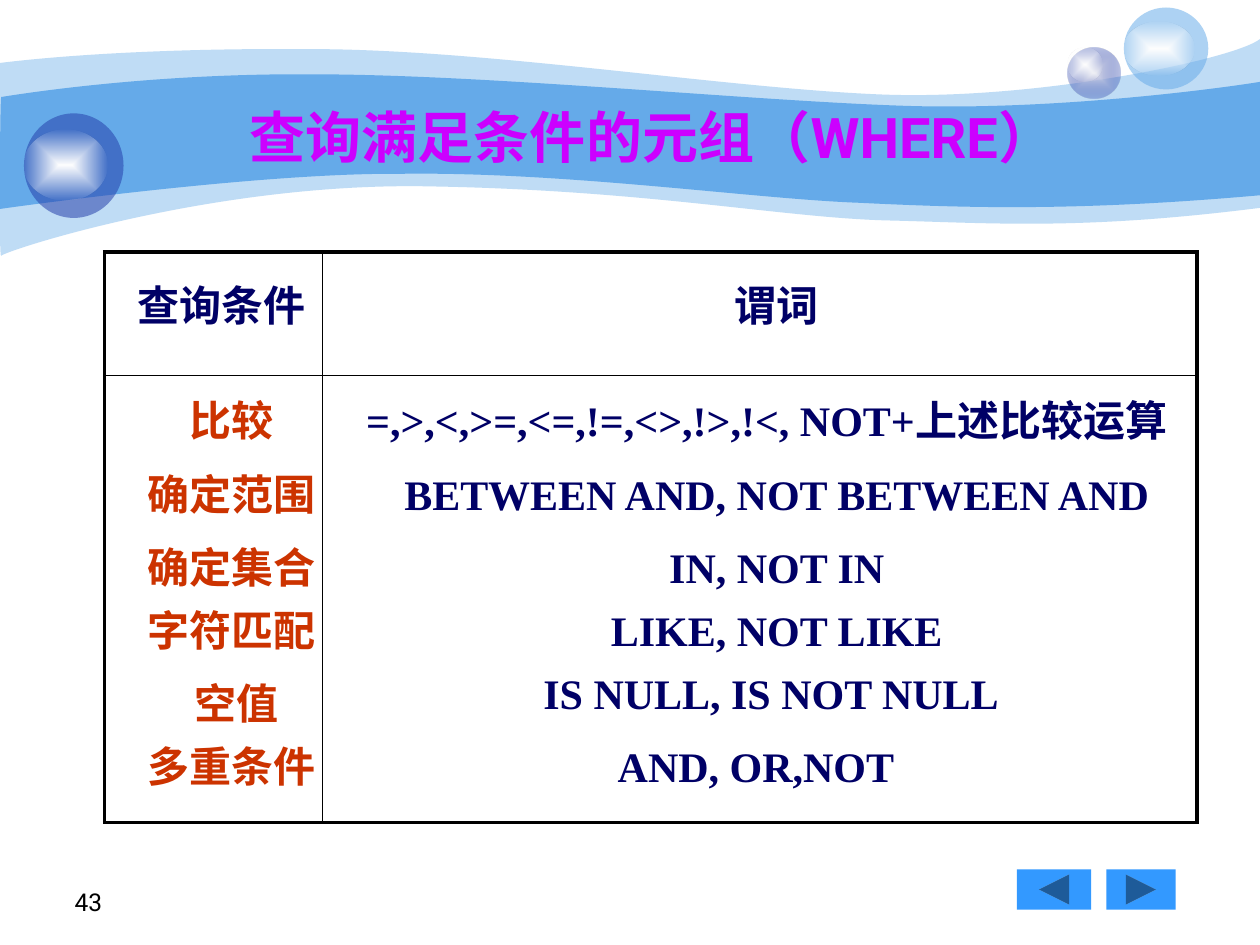
from dataclasses import dataclass

from lxml.etree import SubElement
from pptx import Presentation
from pptx.dml.color import RGBColor
from pptx.enum.shapes import MSO_SHAPE as Shape
from pptx.enum.text import MSO_ANCHOR as Anchor, MSO_AUTO_SIZE as AutoSize, PP_ALIGN as Align
from pptx.oxml.ns import qn
from pptx.util import Inches, Pt

COLORS = {
    "sky": "65AAE9", "royal": "233DA9", "mist": "E1E2ED", "white": "FFFFFF",
    "button": "3399FF", "navy": "000066", "rust": "CC3300",
    "magenta": "CC00FF", "black": "000000",
}
SERIF, SANS = "Times New Roman", "Roboto"


@dataclass
class Wave:
    start: tuple
    segments: list  # six numbers for a curve, two for a line
    opacity: int


@dataclass
class Ball:
    box: tuple
    color: str
    opacity: int
    glow: tuple
    shaded: bool = False


@dataclass
class Label:
    text: str
    box: tuple
    color: str = "navy"
    font: str = SERIF
    size: int = 24
    bold: bool = True
    align: Align = Align.CENTER
    anchor: Anchor = Anchor.TOP


WAVES = [
    Wave((0, 0.5), [
        (0.24, 0.47, 1.07, 0.38, 2.47, 0.39), (3.86, 0.39, 5.75, 0.7, 6.99, 0.75),
        (8.22, 0.8, 9.8, 0.47, 10, 0.31), (10, 1.65),
        (8.58, 1.83, 7.87, 1.77, 7.05, 1.75), (6.22, 1.73, 5.15, 1.51, 3.43, 1.48),
        (1.72, 1.44, 0.04, 1.99, 0.01, 2.03), (-0.01, 2.08, 0, 0.75, 0, 0.5)], 41),
    Wave((0.01, 0.77), [
        (0.02, 0.77, 1.1, 0.58, 2.48, 0.59), (3.86, 0.59, 5.95, 0.8, 7.18, 0.84),
        (8.41, 0.88, 9.76, 0.69, 10, 0.65), (10, 1.55),
        (8.53, 1.68, 7.65, 1.65, 6.82, 1.61), (5.99, 1.58, 4.47, 1.36, 3.17, 1.38),
        (2.03, 1.37, -0.02, 1.66, -0.01, 1.66), (0, 1.66, 0, 0.77, 0.01, 0.77)], 100),
]
BALLS = [
    Ball((8.47, 0.38, 0.42, 0.4), "royal", 31, (8.47, 0.38, 0.28, 0.27), shaded=True),
    Ball((8.92, 0.06, 0.67, 0.65), "sky", 53, (8.92, 0.17, 0.56, 0.43)),
    Ball((0.19, 0.9, 0.79, 0.83), "royal", 53, (0.19, 1.03, 0.66, 0.56)),
]
BUTTONS = [
    (Shape.ACTION_BUTTON_BACK_OR_PREVIOUS, (8.07, 6.9, 0.59, 0.32)),
    (Shape.ACTION_BUTTON_FORWARD_OR_NEXT, (8.78, 6.9, 0.55, 0.32)),
]
HEADINGS = [Label("查询条件", (0.92, 2.17, 1.68, 0.5)), Label("谓词", (5.58, 2.17, 1.17, 0.5))]
# Condition name: text, left, top
CONDITIONS = [
    ("比较", 1, 3.08), ("确定范围", 1, 3.67), ("确定集合", 1, 4.25),
    ("字符匹配", 1, 4.75), ("空值", 1.04, 5.33), ("多重条件", 1, 5.83),
]
# Predicate: text, left, top, width
PREDICATES = [
    ("=,>,<,>=,<=,!=,<>,!>,!<, NOT+上述比较运算", 2.67, 3.08, 6.83),
    ("BETWEEN AND, NOT BETWEEN AND", 2.83, 3.67, 6.67),
    ("IN, NOT IN", 2.83, 4.25, 6.67),
    ("LIKE, NOT LIKE", 2.83, 4.75, 6.67),
    ("IS NULL, IS NOT NULL", 2.83, 5.25, 6.58),
    ("AND, OR,NOT", 2.75, 5.83, 6.5),
]
TITLE = Label("查询满足条件的元组（WHERE）", (0.59, 0.76, 9.17, 0.58), "magenta", SANS, 32)
PAGE_NUMBER = Label("43", (0.27, 6.82, 0.64, 0.5), "black", SANS, 14, False,
                    Align.RIGHT, Anchor.BOTTOM)


def add_color(parent, color: str, opacity: int = 100) -> None:
    node = SubElement(parent, qn("a:srgbClr"), val=COLORS[color])
    if opacity < 100:
        SubElement(node, qn("a:alpha"), val=str(opacity * 1000))


def paint(shape, color: str, opacity: int = 100) -> None:
    shape.shadow.inherit = False
    shape.line.fill.background()
    shape.fill.solid()
    shape.fill.fore_color.rgb = RGBColor.from_string(COLORS[color])
    if opacity < 100:
        node = shape._element.spPr.find(qn("a:solidFill")).find(qn("a:srgbClr"))
        SubElement(node, qn("a:alpha"), val=str(opacity * 1000))


def paint_radial(shape, center: str, edge: str, opacity: int) -> None:
    paint(shape, center)
    solid = shape._element.spPr.find(qn("a:solidFill"))
    gradient = solid.makeelement(qn("a:gradFill"), rotWithShape="1")
    solid.getparent().replace(solid, gradient)
    stops = SubElement(gradient, qn("a:gsLst"))
    for position, color, alpha in ((0, center, 100), (100000, edge, opacity)):
        add_color(SubElement(stops, qn("a:gs"), pos=str(position)), color, alpha)
    shade = SubElement(gradient, qn("a:path"), path="shape")
    SubElement(shade, qn("a:fillToRect"), dict.fromkeys("ltrb", "50000"))


def draw_wave(page, wave: Wave) -> None:
    ends = [tuple(map(Inches, segment[-2:])) for segment in wave.segments]
    builder = page.shapes.build_freeform(*map(Inches, wave.start))
    builder.add_line_segments(ends, close=True)
    shape = builder.convert_to_shape()
    # Turn the straight segments into Bezier curves
    lines = list(shape._element.iter(qn("a:lnTo")))
    for line, segment in zip(lines, wave.segments):
        if len(segment) == 6:
            curve = line.makeelement(qn("a:cubicBezTo"))
            for x, y in zip(segment[::2], segment[1::2]):
                SubElement(curve, qn("a:pt"), x=str(Inches(x) - shape.left),
                           y=str(Inches(y) - shape.top))
            line.getparent().replace(line, curve)
    paint(shape, "sky", wave.opacity)


def draw_ball(page, ball: Ball) -> None:
    body = page.shapes.add_shape(Shape.OVAL, *map(Inches, ball.box))
    if ball.shaded:
        paint_radial(body, "mist", ball.color, ball.opacity)
    else:
        paint(body, ball.color, ball.opacity)
    glow = page.shapes.add_shape(Shape.OVAL, *map(Inches, ball.glow))
    paint_radial(glow, "white", "white", 0)


def draw_table(page) -> None:
    frame = page.shapes.add_table(2, 2, *map(Inches, (0.83, 2, 8.67, 4.53)))
    table = frame.table
    table.first_row = table.horz_banding = False
    for column, width in zip(table.columns, (1.73, 6.94)):
        column.width = Inches(width)
    for row, height in zip(table.rows, (0.98, 3.55)):
        row.height = Inches(height)
    for r in range(2):
        for c in range(2):
            cell = table.cell(r, c)
            outer = {"L": c == 0, "R": c == 1, "T": r == 0, "B": r == 1}
            for side, thick in outer.items():
                line = SubElement(cell._tc.get_or_add_tcPr(), qn("a:ln" + side),
                                  w=str(Pt(2.25 if thick else 1)))
                add_color(SubElement(line, qn("a:solidFill")), "black")
            cell.fill.background()


def write_label(box, label: Label) -> None:
    box.left, box.top, box.width, box.height = map(Inches, label.box)
    frame = box.text_frame
    frame.text = label.text
    frame_format = {"word_wrap": True, "auto_size": AutoSize.NONE,
                    "vertical_anchor": label.anchor}
    for name, value in frame_format.items():
        setattr(frame, name, value)
    para = frame.paragraphs[0]
    para.alignment = label.align
    span = para.runs[0]
    font_format = {"name": label.font, "size": Pt(label.size), "bold": label.bold}
    for name, value in font_format.items():
        setattr(span.font, name, value)
    span.font.color.rgb = RGBColor.from_string(COLORS[label.color])


def main() -> None:
    deck = Presentation()
    deck.slide_width, deck.slide_height = Inches(10), Inches(7.5)
    page = deck.slides.add_slide(deck.slide_layouts[5])

    # Banner and navigation
    for wave in WAVES:
        draw_wave(page, wave)
    for ball in BALLS:
        draw_ball(page, ball)
    for kind, box in BUTTONS:
        paint(page.shapes.add_shape(kind, *map(Inches, box)), "button")

    # Table frame with its entries
    draw_table(page)
    names = [Label(text, (left, top, 1.68, 0.5), "rust") for text, left, top in CONDITIONS]
    predicates = [Label(text, (left, top, width, 0.5)) for text, left, top, width in PREDICATES]
    for label in HEADINGS + names + predicates + [PAGE_NUMBER]:
        write_label(page.shapes.add_textbox(0, 0, 0, 0), label)

    # Title, in front of the banner
    title = page.shapes.title
    write_label(title, TITLE)
    page.shapes._spTree.append(title._element)
    deck.save("out.pptx")


if __name__ == "__main__":
    main()
